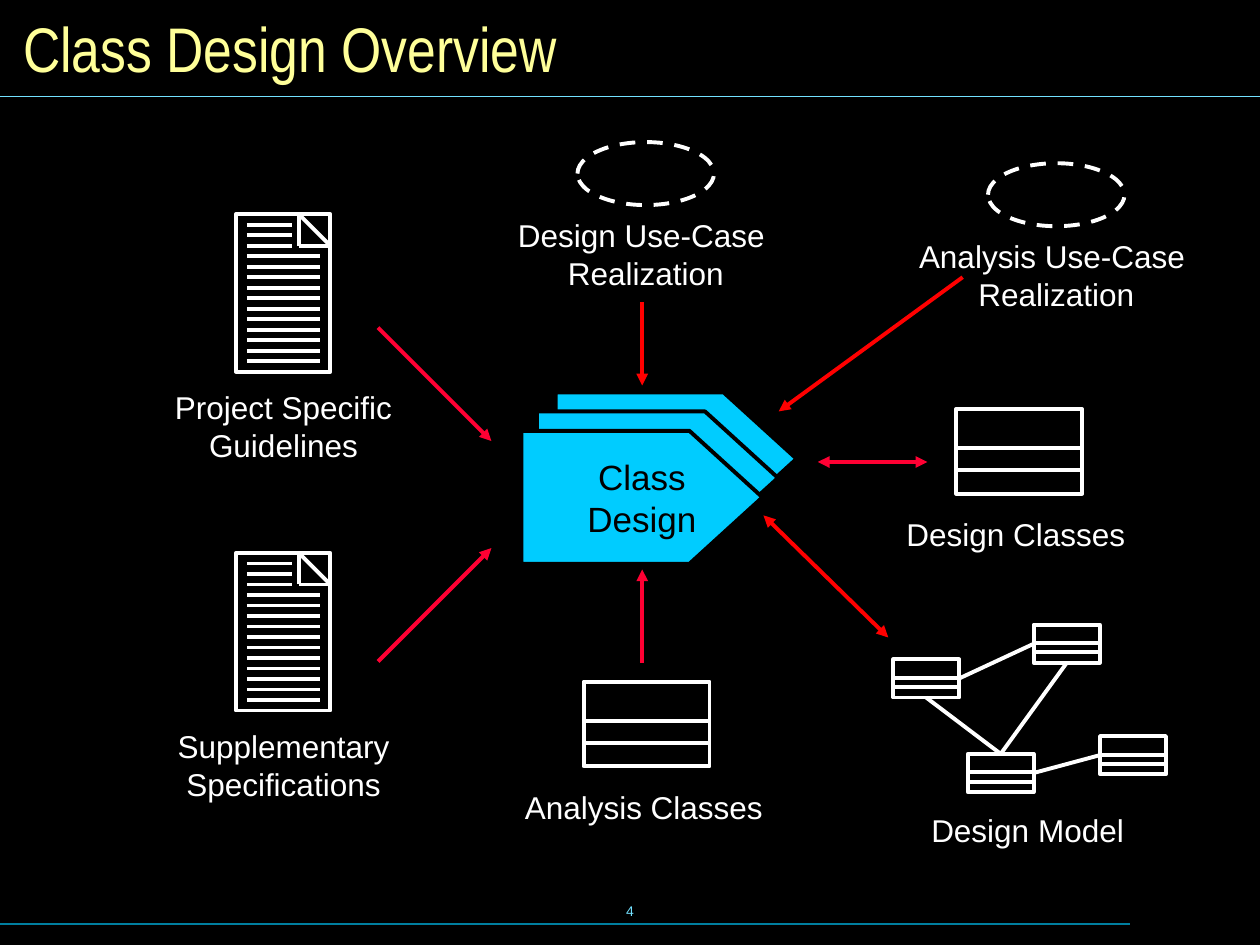
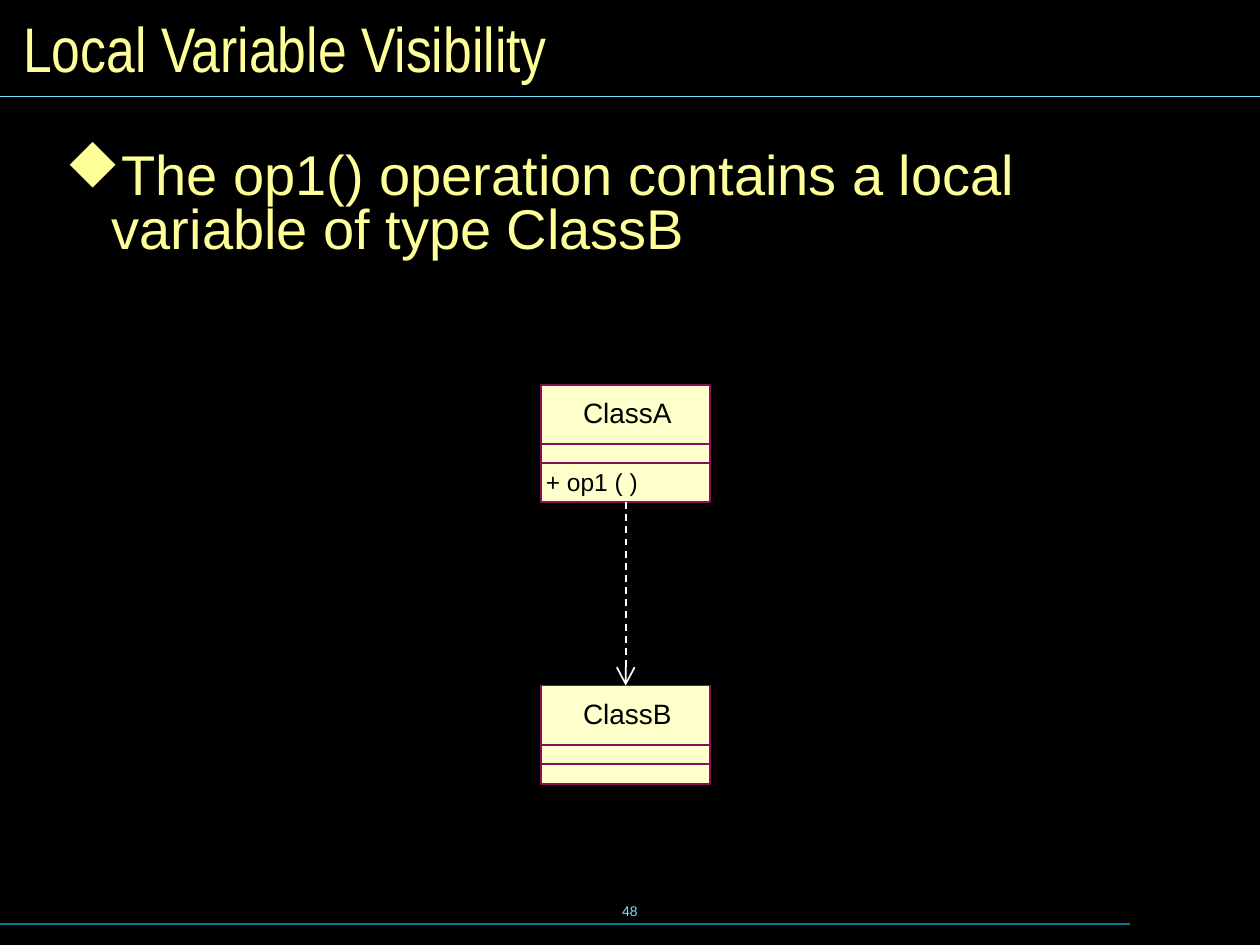
from lxml import etree
from pptx import Presentation
from pptx.dml.color import RGBColor
from pptx.enum.dml import MSO_LINE_DASH_STYLE as Dash
from pptx.enum.shapes import MSO_CONNECTOR as Connector, MSO_SHAPE as Preset
from pptx.enum.text import MSO_ANCHOR as Anchor, MSO_AUTO_SIZE as AutoSize, PP_ALIGN as Align
from pptx.oxml.ns import qn
from pptx.util import Pt

COLORS = {
    "background": "000000", "title": "FFFF99", "rule": "73E1FF", "footer_rule": "007E9F",
    "icon": "FFFFFF", "activity": "00CCFF", "dark": "000000", "crimson": "FF0033",
    "red": "FF0000", "class_fill": "FFFFCC", "class_line": "8A0E5E",
}
ICON_WEIGHT = 2.25
TOP, LEFT, BOTTOM, RIGHT = range(4)  # connection sites of a rectangle


def color(name):
    return RGBColor.from_string(COLORS[name])


# Text
def style(paragraph, size, color_name, align=Align.LEFT, font_name="Arial"):
    paragraph.alignment = align
    font = paragraph.font
    font.name, font.size = font_name, Pt(size)
    font.color.rgb = color(color_name)


def add_text(shapes, text, left, top, width, height, size, color_name,
             align=Align.LEFT, font_name="Arial", anchor=Anchor.TOP, wrap=True):
    box = shapes.add_textbox(Pt(left), Pt(top), Pt(width), Pt(height))
    frame = box.text_frame
    frame.word_wrap, frame.vertical_anchor = wrap, anchor
    frame.text = text
    for paragraph in frame.paragraphs:
        style(paragraph, size, color_name, align, font_name)
    return box


def add_label(shapes, text, center, top, width, size=18, color_name="icon"):
    lines = len(text.splitlines())
    box = add_text(shapes, text, center - width / 2, top, width, 1.2 * size * lines + 7.2,
                   size, color_name, Align.CENTER, wrap=False)
    box.text_frame.auto_size = AutoSize.SHAPE_TO_FIT_TEXT


def add_bullet(shapes, text, left, top, width, height):
    box = add_text(shapes, text, left, top, width, height, 32, "title")
    frame = box.text_frame
    frame.margin_left = frame.margin_right = Pt(8.64)
    frame.margin_top = frame.margin_bottom = Pt(4.32)
    paragraph = frame.paragraphs[0]
    properties = paragraph._p.get_or_add_pPr()
    properties.set("marL", str(Pt(26.64)))
    properties.set("indent", str(-Pt(26.64)))
    bullet_color = etree.Element(qn("a:buClr"))
    etree.SubElement(bullet_color, qn("a:srgbClr"), val=COLORS["title"])
    # The letter u is the diamond of the symbol font
    bullet_font = etree.Element(qn("a:buFont"), typeface="Wingdings", charset="2")
    bullet = etree.Element(qn("a:buChar"), char="u")
    for position, element in enumerate((bullet_color, bullet_font, bullet)):
        properties.insert(position, element)
    paragraph.line_spacing = 0.8


# Lines and outlines
def add_line(shapes, start, end, color_name="icon", weight=ICON_WEIGHT,
             head=None, tail=None, dash=None, head_size="med"):
    link = shapes.add_connector(Connector.STRAIGHT, *map(Pt, (*start, *end)))
    link.line.color.rgb = color(color_name)
    link.line.width = Pt(weight)
    if dash:
        link.line.dash_style = dash
    outline = link.line._get_or_add_ln()
    for tag, kind in (("a:headEnd", head), ("a:tailEnd", tail)):
        if kind:
            etree.SubElement(outline, qn(tag), type=kind, w=head_size, len=head_size)
    etree.SubElement(link._element.spPr, qn("a:effectLst"))
    return link


def join(link, first, first_site, second, second_site):
    link.begin_connect(first, first_site)
    link.end_connect(second, second_site)


def paint(shape, line_name, weight=ICON_WEIGHT, fill_name=None):
    shape.shadow.inherit = False
    if fill_name:
        shape.fill.solid()
        shape.fill.fore_color.rgb = color(fill_name)
    else:
        shape.fill.background()
    shape.line.color.rgb = color(line_name)
    shape.line.width = Pt(weight)


def add_preset(shapes, preset, left, top, width, height, *paint_options):
    shape = shapes.add_shape(preset, *map(Pt, (left, top, width, height)))
    paint(shape, *paint_options)
    return shape


# Diagram symbols
def add_class_box(shapes, left, top, width, height, dividers,
                  line_name="icon", weight=ICON_WEIGHT, fill_name=None):
    box = add_preset(shapes, Preset.RECTANGLE, left, top, width, height,
                     line_name, weight, fill_name)
    for offset in dividers:
        add_line(shapes, (left, top + offset), (left + width, top + offset), line_name, weight)
    return box


def add_class_artifact(slide, text, left, top, center, label_top, label_width):
    shapes = slide.shapes.add_group_shape().shapes
    add_class_box(shapes, left, top, 72, 48.3, (22.3, 34.8))
    add_label(shapes, text, center, label_top, label_width)


def add_document(slide, text, left, top):
    shapes = slide.shapes.add_group_shape().shapes
    width, height, fold, step = 54, 90, 18, 6
    add_preset(shapes, Preset.RECTANGLE, left, top, width, height, "icon")
    # Folded corner
    corner, inner = (left + width - fold, top), (left + width - fold, top + fold)
    outer = (left + width, top + fold)
    for start, end in ((corner, outer), (corner, inner), (outer, inner)):
        add_line(shapes, start, end)
    # Text lines, shorter beside the fold
    for offset in range(step, height - 1, step):
        length = 26 if offset <= fold else 42
        add_line(shapes, (left + 6.3, top + offset), (left + 6.3 + length, top + offset))
    add_label(shapes, text, left + width / 2 + 0.2, top + 96, 150)


def add_realization(slide, text, left, top, center, width):
    shapes = slide.shapes.add_group_shape().shapes
    ellipse = add_preset(shapes, Preset.OVAL, left, top, 78, 36, "icon")
    ellipse.line.dash_style = Dash.DASH
    add_label(shapes, text, center, top + 38.6, width)


def add_activity(slide, left, top):
    width, height, shoulder = 137.7, 76, 96
    corners = [(shoulder, 0), (width, height / 2), (shoulder, height), (0, height)]
    builder = slide.shapes.build_freeform(Pt(left), Pt(top))
    builder.add_line_segments([(Pt(left + x), Pt(top + y)) for x, y in corners])
    shape = builder.convert_to_shape()
    paint(shape, "dark", ICON_WEIGHT, "activity")
    return shape


def add_design_model(slide):
    shapes = slide.shapes.add_group_shape().shapes
    spots = [(510.4, 376.8), (590.7, 357), (553, 430.8), (628.6, 420.6)]
    west, north, south, east = [add_class_box(shapes, *spot, 37.7, 21.8, (10.6, 15.8))
                                for spot in spots]
    links = [(south, TOP, west, BOTTOM), (west, RIGHT, north, LEFT),
             (south, RIGHT, east, LEFT), (south, TOP, north, BOTTOM)]
    for ends in links:
        join(add_line(shapes, spots[0], spots[1]), *ends)
    add_label(shapes, "Design Model", 587.2, 460, 130)


def add_named_class(slide, name, top, height):
    left, width = 309.2, 96.7
    box = add_class_box(slide.shapes, left, top, width, height, (33.8, 44.6),
                        "class_line", 1, "class_fill")
    add_label(slide.shapes, name, 358.5, top + 2.6, 70, 16, "dark")
    return box


# Shared frame of every slide
def add_slide(deck, title, number):
    slide = deck.slides.add_slide(deck.slide_layouts[6])
    slide.background.fill.solid()
    slide.background.fill.fore_color.rgb = color("background")
    shapes = slide.shapes
    add_text(shapes, number, 246, 502.6, 228, 36, 8, "rule",
             Align.CENTER, anchor=Anchor.MIDDLE, wrap=False)
    add_line(shapes, (0, 528), (645.8, 528), "footer_rule", 0.75)
    add_line(shapes, (0, 55.1), (720, 55.1), "rule", 0.75)
    add_text(shapes, title, 6.2, 6.2, 708, 41.8, 36, "title",
             font_name="Arial Narrow", anchor=Anchor.MIDDLE)
    return slide


def build_overview(deck):
    slide = add_slide(deck, "Class Design Overview", "4")
    # Inputs and results
    add_document(slide, "Supplementary\nSpecifications", 134.8, 316)
    add_document(slide, "Project Specific\vGuidelines", 134.8, 122.4)
    add_realization(slide, "Design Use-Case \nRealization", 330, 81.2, 369, 164)
    add_realization(slide, "Analysis Use-Case \nRealization", 564.6, 93.3, 603.7, 175)
    add_class_artifact(slide, "Design Classes", 546.4, 233.8, 580.5, 290.9, 144)
    add_class_artifact(slide, "Analysis Classes", 333.5, 389.6, 367.9, 446.6, 155)
    add_design_model(slide)

    # Stack of activities
    for left, top in ((317.5, 224.2), (306.9, 235.1), (298, 246.2)):
        activity = add_activity(slide, left, top)
    frame = activity.text_frame
    frame.word_wrap, frame.vertical_anchor = False, Anchor.MIDDLE
    frame.text = "Class\vDesign"
    style(frame.paragraphs[0], 20, "dark", Align.CENTER)

    # Flow arrows
    arrows = [
        ((216, 187.2), (280.8, 252), "crimson", None),
        ((216, 378), (280.8, 313.2), "crimson", None),
        ((367, 378.7), (367, 325.4), "crimson", None),
        ((467.3, 264), (529.9, 264), "crimson", "triangle"),
        ((507.6, 364.3), (436.3, 294.5), "red", "triangle"),
        ((550.1, 158.4), (445, 235.1), "red", None),
        ((367, 172.8), (367, 220.3), "red", None),
    ]
    for start, end, color_name, head in arrows:
        add_line(slide.shapes, start, end, color_name, head=head, tail="triangle")


def build_visibility(deck):
    slide = add_slide(deck, "Local Variable Visibility", "48")
    add_bullet(slide.shapes, "The op1() operation contains a local variable of type ClassB",
               28.6, 82.8, 669, 397.4)
    # Dependency between the two classes
    client = add_named_class(slide, "ClassA", 220.1, 66.8)
    add_text(slide.shapes, "+ op1 ( )", 304.8, 263.2, 67.7, 24, 14, "dark")
    supplier = add_named_class(slide, "ClassB", 391.8, 56.3)
    dependency = add_line(slide.shapes, (357.6, 287), (357.6, 391.8), "icon", 1,
                          tail="arrow", dash=Dash.DASH, head_size="lg")
    join(dependency, client, BOTTOM, supplier, TOP)


def main():
    deck = Presentation()
    deck.slide_width, deck.slide_height = Pt(720), Pt(540)
    build_overview(deck)
    build_visibility(deck)
    deck.save("out.pptx")


if __name__ == "__main__":
    main()
